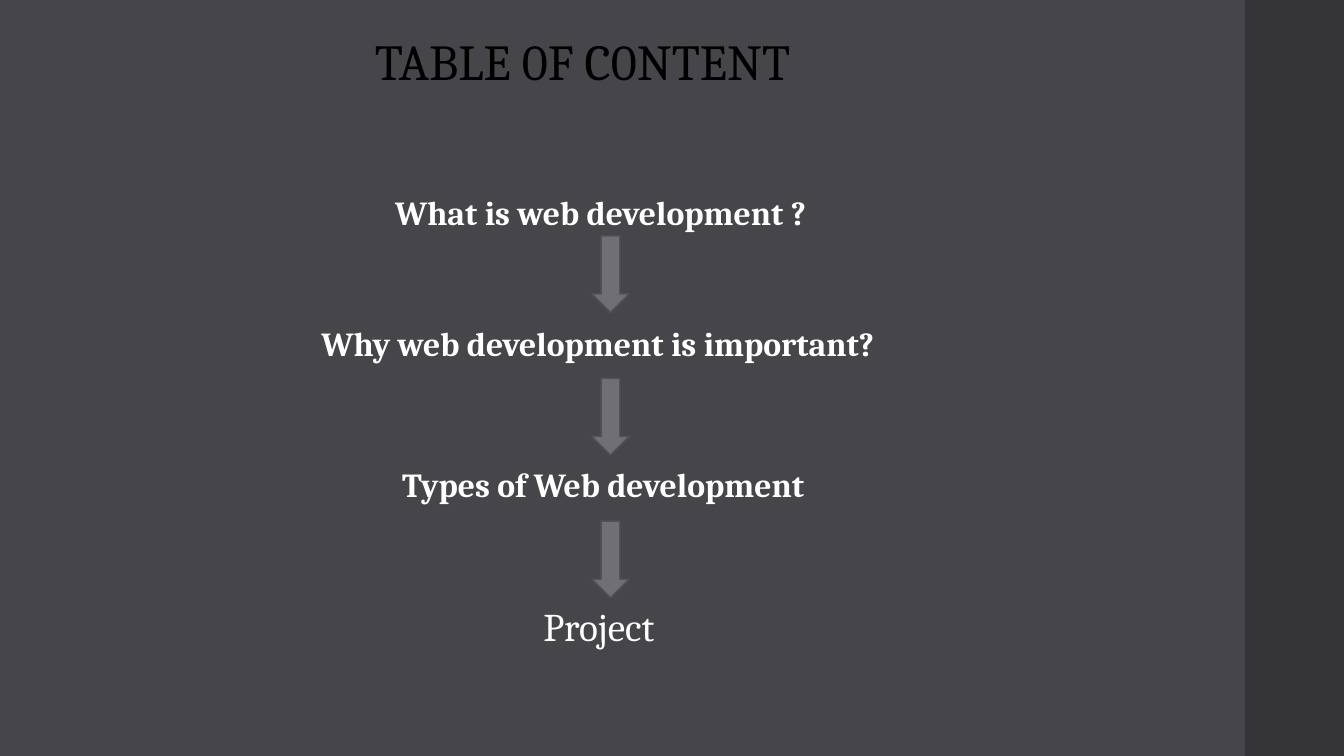
from pptx import Presentation
from pptx.dml.color import RGBColor
from pptx.enum.shapes import MSO_SHAPE
from pptx.util import Inches, Pt

RECTANGLE = MSO_SHAPE.RECTANGLE
DOWN_ARROW = MSO_SHAPE.DOWN_ARROW

COLORS = {
    "background": "46464A",
    "side_band": "353537",
    "arrow": "6F6F74",
    "arrow_edge": "525256",
    "title": "000000",
    "topic": "FFFFFF",
}

# Content: text, (left, top, width, height), font format
TITLE = ("TABLE 0F C0NTENT", (3.62, 0.25, 5.54, 0.71), {"size": Pt(36), "bold": False})
TOPICS = [
    ("What is web development ?", (3.82, 1.85, 6.22, 1.31), {"size": Pt(24), "bold": True}),
    ("Why web development is important?", (3.09, 3.15, 6.61, 0.5), {"size": Pt(24), "bold": True}),
    ("Types of Web development", (3.89, 4.55, 6.6, 0.5), {"size": Pt(24), "bold": True}),
    ("Project", (5.29, 5.93, 3, 0.57), {"size": Pt(28), "bold": False}),
]
FONT = "Cambria"
SLIDE_W, SLIDE_H = 13.33, 7.5
BAND_LEFT, BAND_W = 12.35, 1
ARROW_LEFT, ARROW_TOP, ARROW_W, ARROW_H = 5.87, 2.34, 0.37, 0.76
ARROW_STEP = 1.415


def rgb(role):
    return RGBColor.from_string(COLORS[role])


def add_filled(slide, preset, box, fill):
    shape = slide.shapes.add_shape(preset, *map(Inches, box))
    shape.shadow.inherit = False
    shape.fill.solid()
    shape.fill.fore_color.rgb = rgb(fill)
    return shape


def add_label(slide, text, box, font_format, color):
    frame = slide.shapes.add_textbox(*map(Inches, box)).text_frame
    frame.word_wrap = True
    run = frame.paragraphs[0].add_run()
    run.text = text
    for attribute, value in {"name": FONT, **font_format}.items():
        setattr(run.font, attribute, value)
    run.font.color.rgb = rgb(color)


def main():
    deck = Presentation()
    deck.slide_width, deck.slide_height = Inches(SLIDE_W), Inches(SLIDE_H)
    slide = deck.slides.add_slide(deck.slide_layouts[6])
    slide.background.fill.solid()
    slide.background.fill.fore_color.rgb = rgb("background")

    # Side band
    band = add_filled(slide, RECTANGLE, (BAND_LEFT, 0, BAND_W, SLIDE_H), "side_band")
    band.line.fill.background()

    # Title and topics
    add_label(slide, *TITLE, "title")
    for topic in TOPICS:
        add_label(slide, *topic, "topic")

    # One arrow between each pair of topics
    for index in range(len(TOPICS) - 1):
        top = ARROW_TOP + index * ARROW_STEP
        arrow = add_filled(slide, DOWN_ARROW, (ARROW_LEFT, top, ARROW_W, ARROW_H), "arrow")
        arrow.line.color.rgb = rgb("arrow_edge")
        arrow.line.width = Pt(1.1)

    deck.save("out.pptx")


if __name__ == "__main__":
    main()
